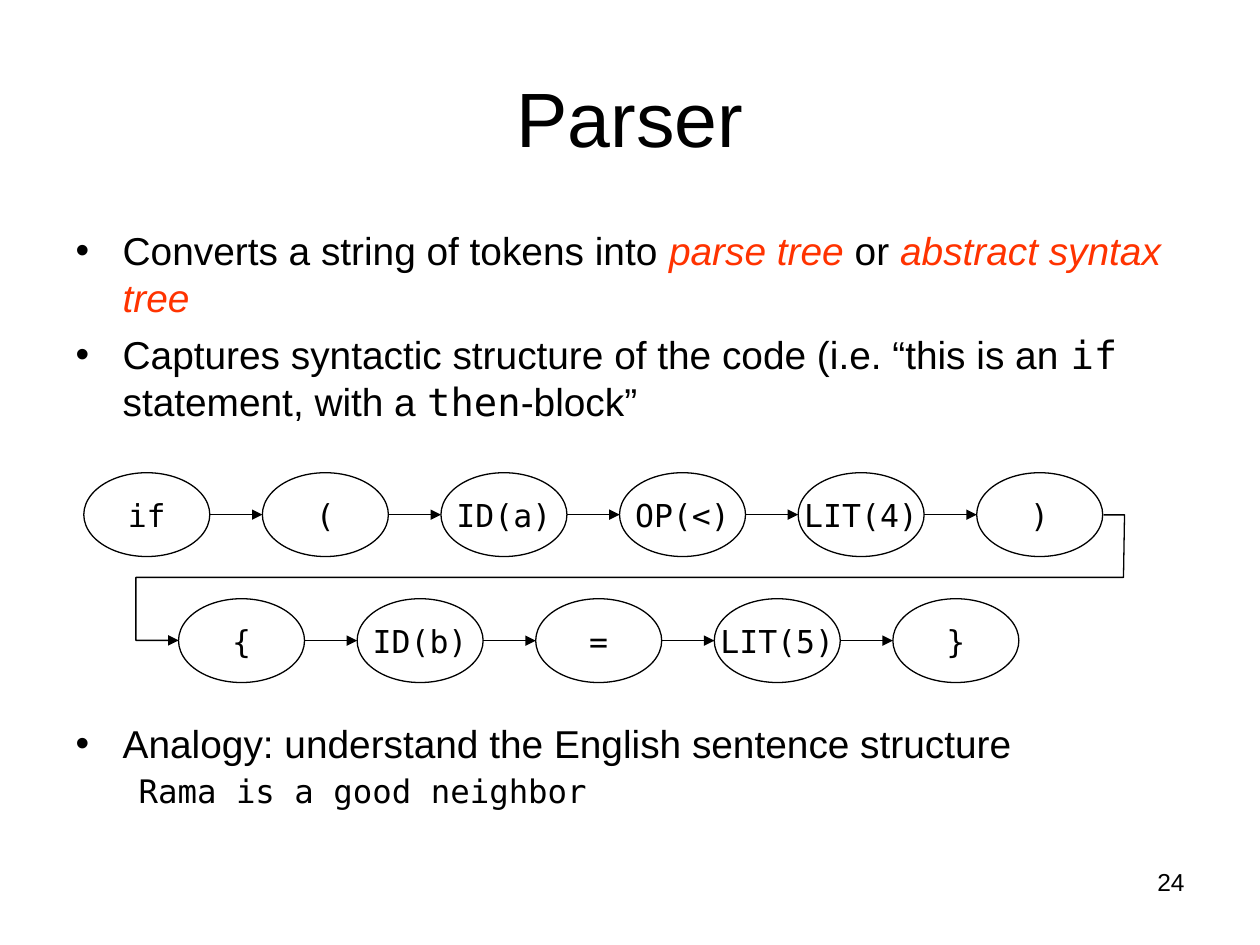
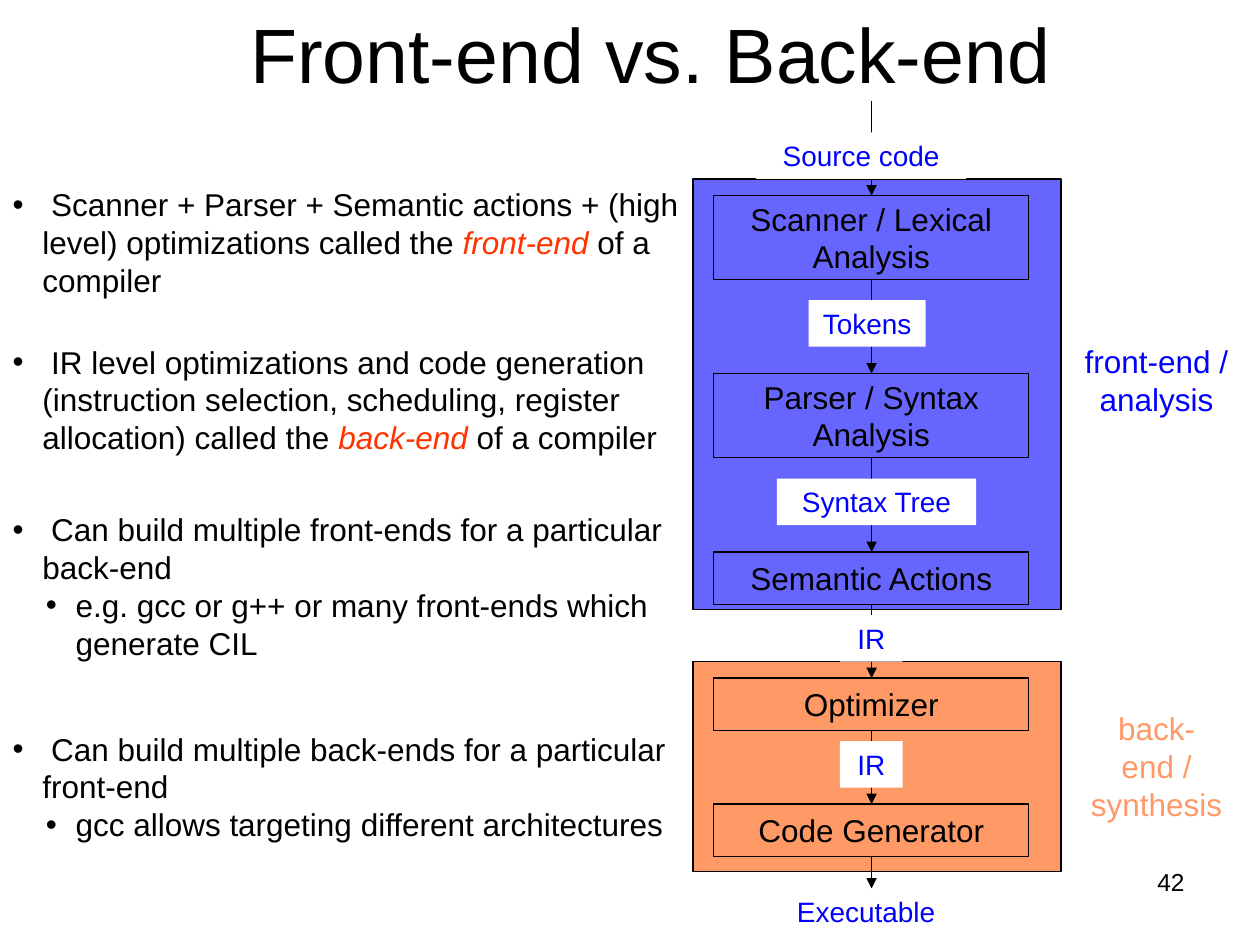
"""Build two compiler lecture slides: the parser, and front-end versus back-end."""
from dataclasses import dataclass
from itertools import pairwise

from lxml import etree
from pptx import Presentation
from pptx.dml.color import RGBColor
from pptx.enum.shapes import MSO_CONNECTOR, MSO_SHAPE
from pptx.enum.text import MSO_ANCHOR, MSO_AUTO_SIZE, PP_ALIGN
from pptx.oxml.ns import qn
from pptx.util import Cm, Pt

LEFT, CENTER, RIGHT = PP_ALIGN.LEFT, PP_ALIGN.CENTER, PP_ALIGN.RIGHT
TOP, MIDDLE = MSO_ANCHOR.TOP, MSO_ANCHOR.MIDDLE
RECTANGLE, OVAL = MSO_SHAPE.RECTANGLE, MSO_SHAPE.OVAL
STRAIGHT = MSO_CONNECTOR.STRAIGHT
NO_AUTOFIT = MSO_AUTO_SIZE.NONE


@dataclass(frozen=True)
class Theme:
    sans: str = "Arial"
    mono: str = "DejaVu Sans Mono"
    ink: str = "000000"
    accent: str = "FF3300"
    paper: str = "FFFFFF"
    label: str = "0000FF"
    front: str = "6666FF"
    back: str = "FF9966"
    title_size: float = 44
    body_size: float = 22.2
    example_size: float = 18.5
    text_size: float = 18
    label_size: float = 16
    number_size: float = 14
    line_width: float = 0.75


THEME = Theme()


def em(text):
    return text, {"color": THEME.accent, "italic": True}


def code(text):
    return text, {"font": THEME.mono}


def set_bullet(paragraph, margin, indent, bullet):
    properties = paragraph._p.get_or_add_pPr()
    properties.set("marL", str(Cm(margin)))
    properties.set("indent", str(Cm(indent)))
    if not bullet:
        etree.SubElement(properties, qn("a:buNone"))
        return
    color = etree.SubElement(properties, qn("a:buClr"))
    etree.SubElement(color, qn("a:srgbClr"), val=THEME.ink)
    etree.SubElement(properties, qn("a:buFont"), typeface=THEME.sans)
    etree.SubElement(properties, qn("a:buChar"), char="•")


def write(frame, text, size=THEME.text_size, color=THEME.ink, font=THEME.sans,
          align=LEFT, before=0, spacing=1.0, level=0, margin=0, indent=0, bullet=False):
    paragraph = frame.add_paragraph() if frame.text else frame.paragraphs[0]
    paragraph.level = level
    set_bullet(paragraph, margin, indent, bullet)
    paragraph.alignment = align
    paragraph.space_before = Pt(before)
    paragraph.line_spacing = spacing
    for part in [text] if isinstance(text, str) else text:
        words, style = (part, {}) if isinstance(part, str) else part
        run = paragraph.add_run()
        run.text = words
        run.font.size = Pt(size)
        run.font.name = style.get("font", font)
        run.font.italic = style.get("italic", False)
        run.font.color.rgb = RGBColor.from_string(style.get("color", color))


def place(shape, left, top, width, height):
    shape.left, shape.top = Cm(left), Cm(top)
    shape.width, shape.height = Cm(width), Cm(height)


class Deck:
    def __init__(self, theme):
        self.theme = theme
        self.presentation = Presentation()
        self.presentation.slide_width = Cm(25.4)
        self.presentation.slide_height = Cm(19.05)
        self.slide = None

    def add_slide(self, title, number, title_box):
        self.slide = self.presentation.slides.add_slide(self.presentation.slide_layouts[1])
        shape = self.slide.shapes.title
        place(shape, *title_box)
        shape.text_frame.auto_size = NO_AUTOFIT
        shape.text_frame.vertical_anchor = MIDDLE
        write(shape.text_frame, title, size=self.theme.title_size, align=CENTER)
        self.text([str(number)], (18.21, 17.35, 5.92, 1.32),
                  size=self.theme.number_size, align=RIGHT)

    def bullets(self, items, box):
        shape = self.slide.placeholders[1]
        place(shape, *box)
        shape.text_frame.auto_size = NO_AUTOFIT
        for text, style in items:
            write(shape.text_frame, text, **style)

    def text(self, lines, box, wrap=True, **style):
        frame = self.slide.shapes.add_textbox(*map(Cm, box)).text_frame
        frame.word_wrap = wrap
        for line in lines:
            write(frame, line, **style)

    def outline(self, shape, arrow=False):
        shape.line.color.rgb = RGBColor.from_string(self.theme.ink)
        shape.line.width = Pt(self.theme.line_width)
        if arrow:
            etree.SubElement(shape.line._get_or_add_ln(), qn("a:tailEnd"), type="triangle")

    def shape(self, kind, box, text="", fill=None, outlined=True, anchor=MIDDLE,
              wrap=True, **style):
        shape = self.slide.shapes.add_shape(kind, *map(Cm, box))
        shape.shadow.inherit = False
        if fill:
            shape.fill.solid()
            shape.fill.fore_color.rgb = RGBColor.from_string(fill)
        else:
            shape.fill.background()
        if outlined:
            self.outline(shape)
        else:
            shape.line.fill.background()
        if text:
            shape.text_frame.word_wrap = wrap
            shape.text_frame.vertical_anchor = anchor
            write(shape.text_frame, text, align=CENTER, **style)

    def arrow(self, *ends):
        connector = self.slide.shapes.add_connector(STRAIGHT, *map(Cm, ends))
        self.outline(connector, arrow=True)
        etree.SubElement(connector._element.spPr, qn("a:effectLst"))

    def bent_arrow(self, points):
        start, *rest = [(Cm(x), Cm(y)) for x, y in points]
        builder = self.slide.shapes.build_freeform(*start)
        builder.add_line_segments(rest, close=False)
        shape = builder.convert_to_shape()
        shape.shadow.inherit = False
        shape.fill.background()
        self.outline(shape, arrow=True)


def parser_slide(deck):
    theme = deck.theme
    deck.add_slide("Parser", 24, (1.27, 0.76, 22.86, 3.18))
    point = dict(size=theme.body_size, margin=0.95, indent=-0.95, bullet=True)
    deck.bullets([
        (["Converts a string of tokens into ", em("parse tree"), " or ",
          em("abstract syntax tree")], point),
        (["Captures syntactic structure of the code (i.e. “this is an ", code("if"),
          " statement, with a ", code("then"), "-block”"], point | {"before": 6}),
        ("Analogy: understand the English sentence structure", point | {"before": 169}),
        ("Rama is a good neighbor",
         dict(size=theme.example_size, font=theme.mono, level=1, margin=2.06,
              indent=-0.79, before=5, spacing=0.9)),
    ], (1.27, 4.45, 23.93, 12.57))

    width, height, step = 2.54, 1.69, 3.6
    rows = [
        (1.69, 9.53, ["if", "(", "ID(a)", "OP(<)", "LIT(4)", ")"]),
        (3.6, 12.07, ["{", "ID(b)", "=", "LIT(5)", "}"]),
    ]
    for left, top, tokens in rows:
        middle = top + height / 2
        for index, token in enumerate(tokens):
            x = left + index * step
            deck.shape(OVAL, (x, top, width, height), token, wrap=False, font=theme.mono)
            if index:
                deck.arrow(x - step + width, middle, x, middle)
    deck.bent_arrow([(22.25, 10.38), (22.67, 10.38), (22.65, 11.64),
                     (2.74, 11.64), (2.74, 12.91), (3.6, 12.91)])


def front_back_slide(deck):
    theme = deck.theme
    deck.add_slide("Front-end vs. Back-end", 42, (1.69, 0, 22.86, 2.12))
    point = dict(margin=0.6, indent=-0.6, bullet=True)
    example = dict(level=1, margin=1.27, indent=-0.6, bullet=True)
    deck.bullets([
        ([" Scanner + Parser + Semantic actions + (high level) optimizations called the ",
          em("front-end"), " of a compiler"], point),
        ([" IR level optimizations and code generation (instruction selection, "
          "scheduling, register allocation) called the ", em("back-end"),
          " of a compiler"], point | {"before": 25}),
        (" Can build multiple front-ends for a particular back-end", point | {"before": 31}),
        ("e.g. gcc or g++ or many front-ends which generate CIL", example),
        (" Can build multiple back-ends for a particular front-end", point | {"before": 39}),
        ("gcc allows targeting different architectures", example),
    ], (0, 3.61, 13.97, 13.6))

    bands = [
        (3.61, 8.68, theme.front, theme.label, ["front-end /", "analysis"], 6.78),
        (13.34, 4.23, theme.back, theme.back, ["back-end /", "synthesis"], 14.17),
    ]
    for top, height, fill, color, caption, caption_top in bands:
        deck.shape(RECTANGLE, (13.97, top, 7.42, height), fill=fill)
        deck.text(caption, (21.6, caption_top, 3.43, 1.78), wrap=False,
                  color=color, align=CENTER)

    stages = [
        ("Scanner / Lexical Analysis", 3.94, 1.69),
        ("Parser / Syntax Analysis", 7.53, 1.69),
        ("Semantic Actions", 11.13, 1.06),
        ("Optimizer", 13.67, 1.06),
        ("Code Generator", 16.21, 1.06),
    ]
    for name, top, height in stages:
        deck.shape(RECTANGLE, (14.39, top, 6.35, height), name)

    flow_x = 17.57
    stops = [(2.03, 2.03), *((top, top + height) for _, top, height in stages), (17.91, 17.91)]
    for (_, start), (end, _) in pairwise(stops):
        deck.arrow(flow_x, start, flow_x, end)

    products = [
        ("Source code", 15.24, 2.67, 4.24),
        ("Tokens", 16.3, 6.05, 2.36),
        ("Syntax Tree", 15.66, 9.65, 4.02),
        ("IR", 16.93, 12.4, 1.27),
        ("IR", 16.93, 14.94, 1.27),
        ("Executable", 15.66, 17.91, 3.6),
    ]
    for name, left, top, width in products:
        deck.shape(RECTANGLE, (left, top, width, 0.94), name, fill=theme.paper,
                   outlined=False, anchor=TOP, size=theme.label_size, color=theme.label)


def main():
    deck = Deck(THEME)
    parser_slide(deck)
    front_back_slide(deck)
    deck.presentation.save("out.pptx")


if __name__ == "__main__":
    main()
